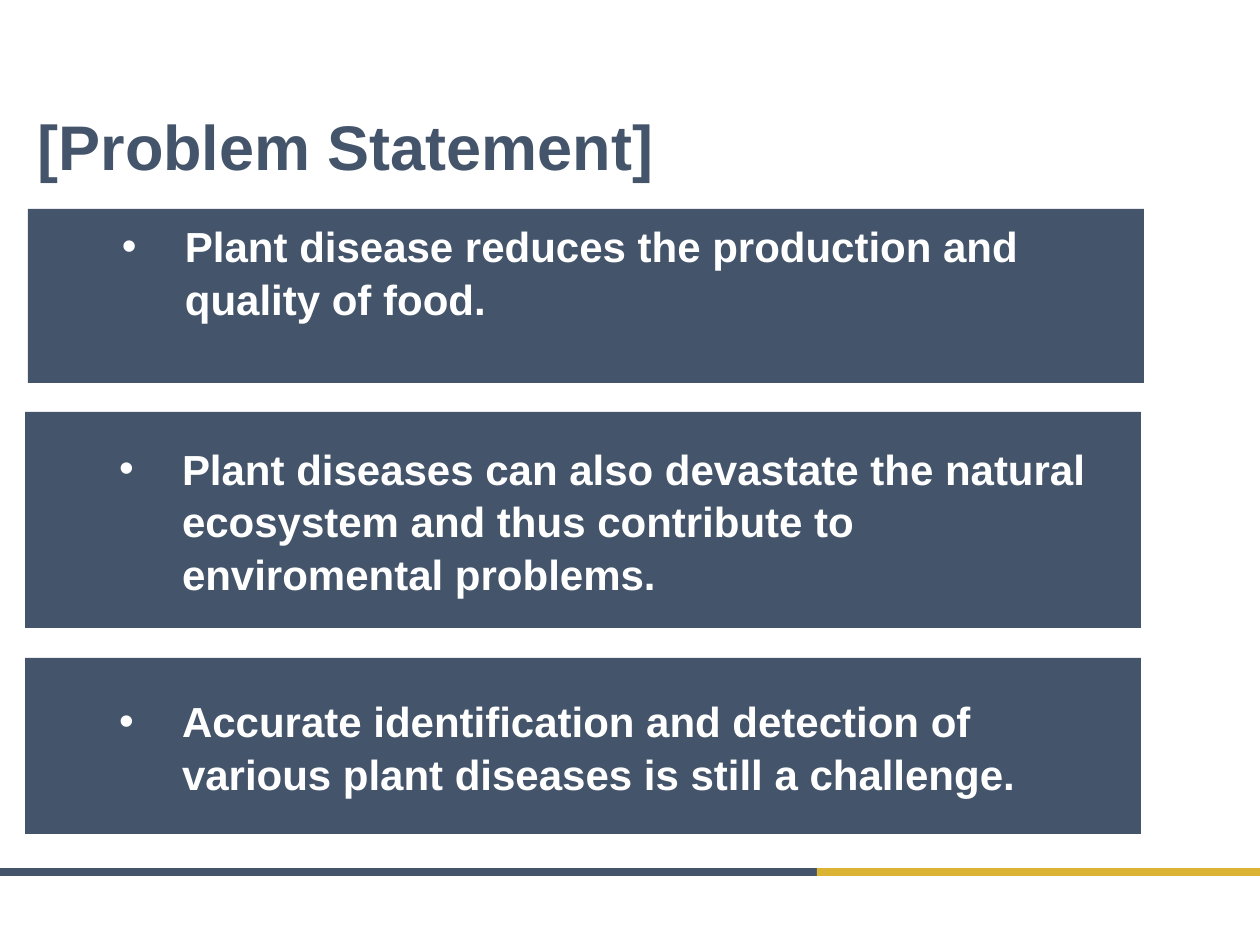
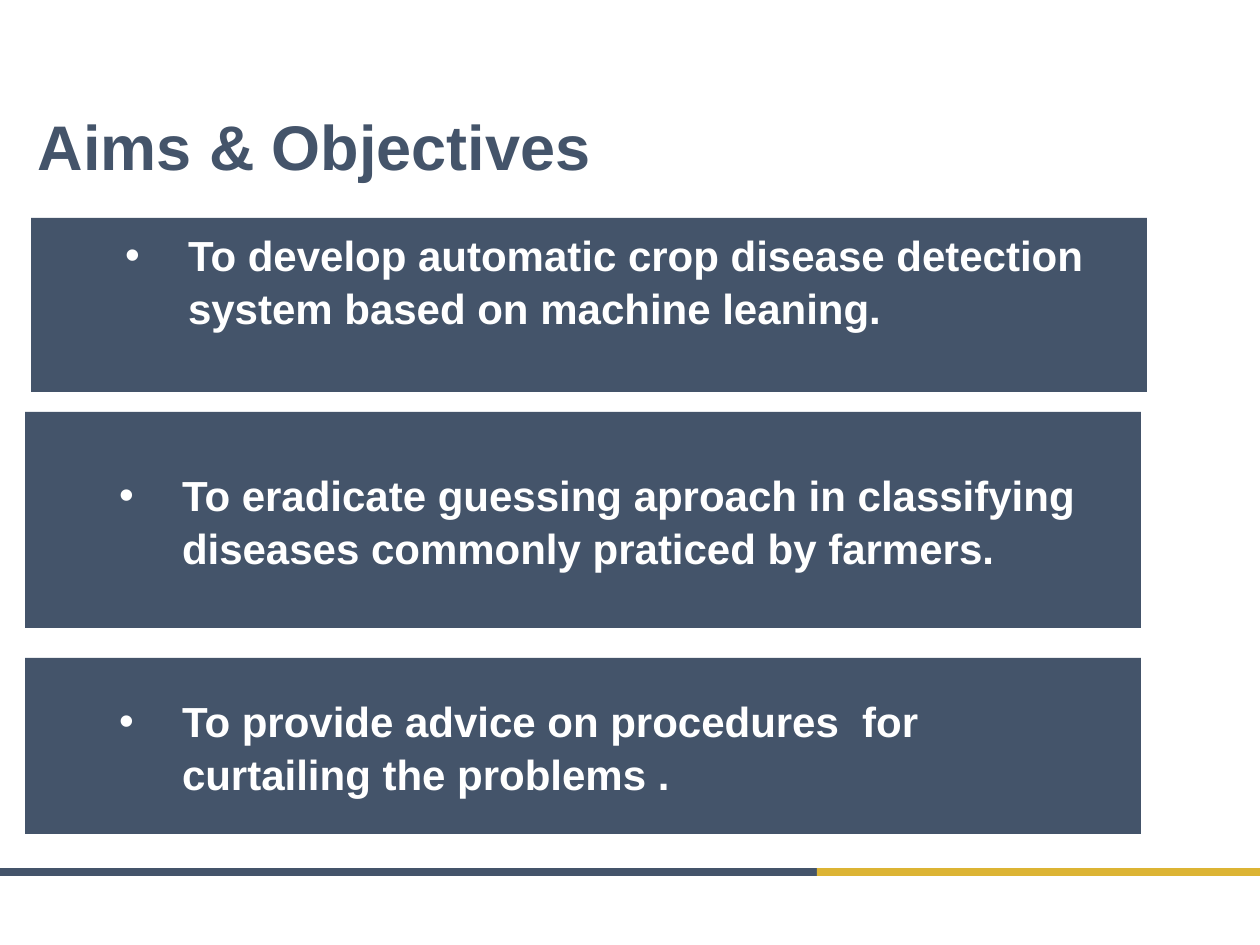
from lxml.etree import SubElement
from pptx import Presentation
from pptx.dml.color import RGBColor
from pptx.enum.shapes import MSO_SHAPE as Shape
from pptx.enum.text import MSO_ANCHOR as Anchor, MSO_AUTO_SIZE as AutoSize, PP_ALIGN as Align
from pptx.oxml.ns import qn
from pptx.util import Emu, Pt

PX_PER_INCH = 126
SLATE, GOLD, WHITE = "44546A", "DCB434", "FFFFFF"
FONT = "Arial"

TITLE_AREA = (25, 111, 1121, 68)
BANDS = [((0, 868, 1193, 8), SLATE), ((817, 868, 443, 8), GOLD)]

# Each slide: title, left and top of the first panel, one statement per panel
SLIDES = [
    ("[Problem Statement]", (28, 209), [
        "Plant disease reduces the production and quality of food.",
        "Plant diseases can also devastate the natural ecosystem and thus "
        "contribute to enviromental problems.",
        "Accurate identification and detection of various plant diseases is "
        "still a challenge.",
    ]),
    ("Aims & Objectives", (31, 218), [
        "To develop automatic crop disease detection system based on machine leaning.",
        "To eradicate guessing aproach in classifying diseases commonly praticed by farmers.",
        "To provide advice on procedures  for curtailing the problems .",
    ]),
]
LOWER_PANELS = [(25, 412), (25, 658)]
PANEL_WIDTH = 1116
PANEL_HEIGHTS = [174, 216, 176]
BOTTOM_INSETS = [56, 6, 6]  # the first panel keeps one line free below its text
SIDE_INSETS = (94, 35)
TOP_INSET = 6
HANGING = 63


def px(length):
    return Emu(round(length * 914400 / PX_PER_INCH))


def color(code):
    return RGBColor.from_string(code)


def add_rect(page, area, fill):
    box = page.shapes.add_shape(Shape.RECTANGLE, *map(px, area))
    box.shadow.inherit = False
    box.fill.solid()
    box.fill.fore_color.rgb = color(fill)
    box.line.fill.background()
    return box


def style(para, size, code):
    para.alignment = Align.LEFT
    for span in para.runs:
        span.font.name = FONT
        span.font.size = Pt(size)
        span.font.bold = True
        span.font.color.rgb = color(code)


def add_bullet(para):
    props = para._p.get_or_add_pPr()
    props.set("marL", str(px(HANGING)))
    props.set("indent", str(-px(HANGING)))
    bullet_color = SubElement(props, qn("a:buClr"))
    SubElement(bullet_color, qn("a:srgbClr"), val=WHITE)
    SubElement(props, qn("a:buFont"), typeface=FONT)
    SubElement(props, qn("a:buChar"), char="•")


def add_panel(page, area, bottom_inset, statement):
    frame = add_rect(page, area, SLATE).text_frame
    frame.word_wrap = True
    frame.vertical_anchor = Anchor.MIDDLE
    frame.margin_left, frame.margin_right = map(px, SIDE_INSETS)
    frame.margin_top, frame.margin_bottom = px(TOP_INSET), px(bottom_inset)
    frame.text = statement
    para = frame.paragraphs[0]
    add_bullet(para)
    para.line_spacing = 1.05
    style(para, 24, WHITE)


def set_title(page, title):
    box = page.shapes.title
    box.left, box.top, box.width, box.height = map(px, TITLE_AREA)
    frame = box.text_frame
    frame.text = title
    frame.auto_size = AutoSize.NONE
    frame.vertical_anchor = Anchor.MIDDLE
    style(frame.paragraphs[0], 36, SLATE)


def main():
    deck = Presentation()
    deck.slide_width, deck.slide_height = px(1260), px(945)
    layout = deck.slide_layouts.get_by_name("Title Only")
    for title, first_panel, statements in SLIDES:
        page = deck.slides.add_slide(layout)
        set_title(page, title)
        corners = [first_panel, *LOWER_PANELS]
        for corner, height, inset, statement in zip(
                corners, PANEL_HEIGHTS, BOTTOM_INSETS, statements):
            add_panel(page, (*corner, PANEL_WIDTH, height), inset, statement)

    # The footer bands belong to the layout, so every slide shows them
    for area, fill in BANDS:
        band = add_rect(deck.slides[0], area, fill)
        layout.shapes.element.append(band.element)
    deck.save("out.pptx")


if __name__ == "__main__":
    main()
